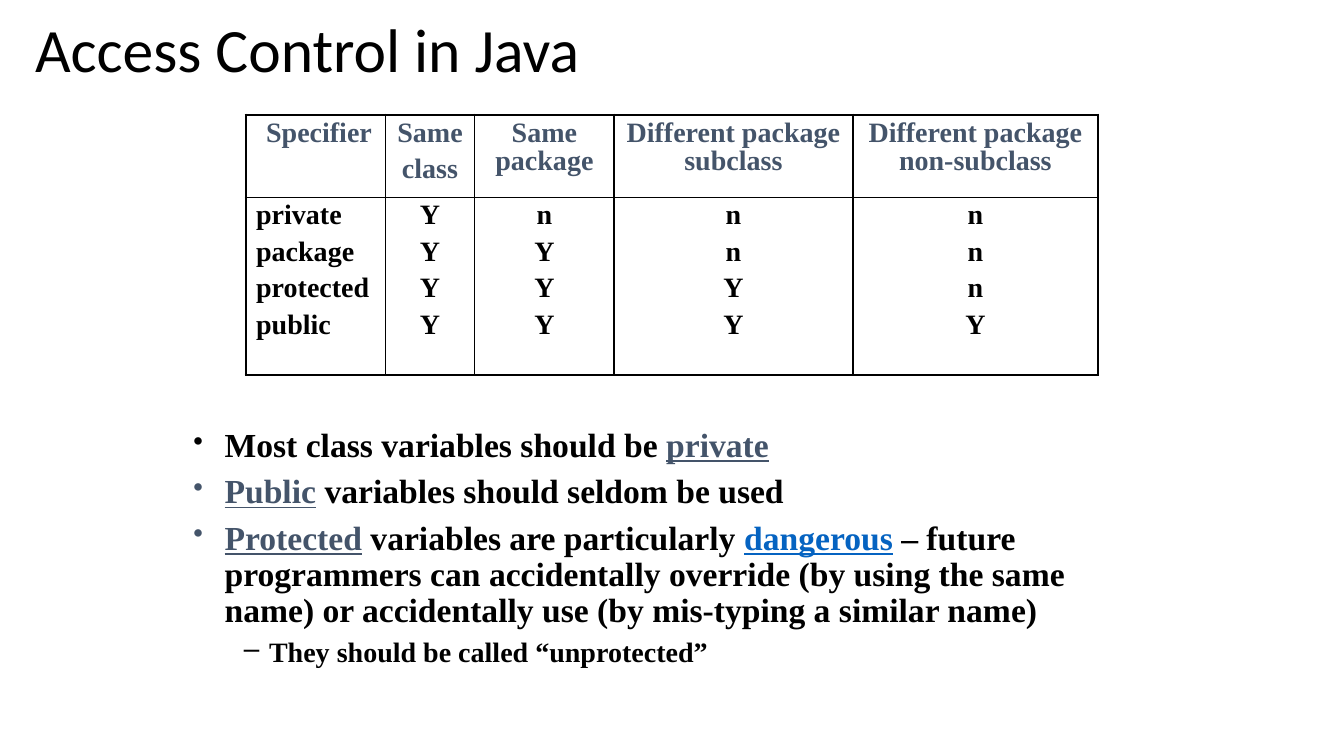
from dataclasses import dataclass

from lxml import etree
from pptx import Presentation
from pptx.dml.color import RGBColor
from pptx.enum.text import MSO_ANCHOR, PP_ALIGN
from pptx.oxml.ns import qn
from pptx.util import Inches, Pt

LEFT, CENTER = PP_ALIGN.LEFT, PP_ALIGN.CENTER
TOP, MIDDLE = MSO_ANCHOR.TOP, MSO_ANCHOR.MIDDLE

TITLE = "Access Control in Java"
HEADERS = [
    [" Specifier"],
    ["Same", "class"],
    ["Same package"],
    ["Different package subclass"],
    ["Different package non-subclass"],
]
ACCESS = {
    "private": "Ynnn",
    "package": "YYnn",
    "protected": "YYYn",
    "public": "YYYY",
}
# Each bullet: level, then (text, style) spans
BULLETS = [
    (0, [("Most class variables should be ", "plain"), ("private", "keyword")]),
    (0, [("Public", "keyword"), (" variables should seldom be used", "plain")]),
    (0, [("Protected", "keyword"), (" variables are particularly ", "plain"),
         ("dangerous", "warning"),
         (" – future programmers can accidentally override (by using the same name)"
          " or accidentally use (by mis-typing a similar name)", "plain")]),
    (1, [("They should be called “unprotected”", "plain")]),
]
COLUMN_WIDTHS = [1.38, 0.89, 1.38, 2.37, 2.43]
ROW_HEIGHTS = [0.82, 1.76]


@dataclass(frozen=True)
class Theme:
    title_font: str = "Calibri"
    body_font: str = "Times New Roman"
    text: str = "000000"
    accent: str = "44546A"
    warning: str = "0563C1"
    title_size: int = 44
    bullet_size: int = 24
    small_size: int = 20
    line_spacing: float = 0.9
    space_before: int = 30000
    outer_border: float = 2.25
    inner_border: float = 1


THEME = Theme()
SPAN_COLORS = {"plain": THEME.text, "keyword": THEME.accent, "warning": THEME.warning}
# Level: left margin, hanging indent, bullet, bullet size, type size
LEVELS = [
    (0.31, 0.31, "•", 85000, THEME.bullet_size),
    (0.75, 0.25, "–", 100000, THEME.small_size),
]


def add_xml(parent, tag, **attributes):
    element = etree.SubElement(parent, qn(tag))
    for name, value in attributes.items():
        element.set(name, str(value))
    return element


def set_font(font, name, size, color=None, bold=False):
    font.name, font.size, font.bold = name, Pt(size), bold
    if color:
        font.color.rgb = RGBColor.from_string(color)


def space_body(para):
    para.line_spacing = THEME.line_spacing
    before = add_xml(para._p.get_or_add_pPr(), "a:spcBef")
    add_xml(before, "a:spcPct", val=THEME.space_before)


def paragraphs(frame, count):
    """Return count paragraphs of the frame, adding those it lacks."""
    return [frame.paragraphs[0]] + [frame.add_paragraph() for _ in range(count - 1)]


def add_text_box(slide, left, top, width, height, anchor):
    box = slide.shapes.add_textbox(Inches(left), Inches(top), Inches(width), Inches(height))
    box.text_frame.word_wrap = True
    box.text_frame.vertical_anchor = anchor
    return box.text_frame


def set_borders(cell, row, column):
    outer_sides = {
        "a:lnL": column == 0,
        "a:lnR": column == len(COLUMN_WIDTHS) - 1,
        "a:lnT": row == 0,
        "a:lnB": row == len(ROW_HEIGHTS) - 1,
    }
    for tag, is_outer in outer_sides.items():
        weight = THEME.outer_border if is_outer else THEME.inner_border
        line = add_xml(cell._tc.get_or_add_tcPr(), tag, w=int(Pt(weight)))
        add_xml(add_xml(line, "a:solidFill"), "a:srgbClr", val=THEME.text)


def add_title(slide):
    para = add_text_box(slide, 0.25, 0.11, 12.85, 0.83, MIDDLE).paragraphs[0]
    para.text = TITLE
    para.line_spacing = THEME.line_spacing
    set_font(para.font, THEME.title_font, THEME.title_size, THEME.text)


def add_access_table(slide):
    table = slide.shapes.add_table(
        len(ROW_HEIGHTS), len(COLUMN_WIDTHS), Inches(2.44), Inches(1.14),
        Inches(sum(COLUMN_WIDTHS)), Inches(sum(ROW_HEIGHTS))).table
    table.first_row = table.horz_banding = False
    for column, width in zip(table.columns, COLUMN_WIDTHS):
        column.width = Inches(width)
    for row, height in zip(table.rows, ROW_HEIGHTS):
        row.height = Inches(height)

    body = [list(ACCESS)] + [list(marks) for marks in zip(*ACCESS.values())]
    for row, cells in enumerate([HEADERS, body]):
        for column, lines in enumerate(cells):
            cell = table.cell(row, column)
            set_borders(cell, row, column)
            cell.fill.background()
            for para, line in zip(paragraphs(cell.text_frame, len(lines)), lines):
                para.text = line
                para.alignment = LEFT if row and column == 0 else CENTER
                space_body(para)
                set_font(para.font, THEME.body_font, THEME.small_size,
                         THEME.text if row else THEME.accent, bold=True)


def add_bullets(slide):
    frame = add_text_box(slide, 1.82, 4.2, 9.7, 2.66, TOP)
    for para, (level, spans) in zip(paragraphs(frame, len(BULLETS)), BULLETS):
        margin, hanging, bullet, bullet_scale, size = LEVELS[level]
        para.level = level
        space_body(para)
        properties = para._p.get_or_add_pPr()
        properties.set("marL", str(Inches(margin)))
        properties.set("indent", str(-Inches(hanging)))
        add_xml(properties, "a:buSzPct", val=bullet_scale)
        add_xml(properties, "a:buChar", char=bullet)
        set_font(para.font, THEME.body_font, size, bold=True)
        for text, style in spans:
            span = para.add_run()
            span.text = text
            span.font.color.rgb = RGBColor.from_string(SPAN_COLORS[style])
            span.font.underline = style != "plain"


def main():
    deck = Presentation()
    deck.slide_width, deck.slide_height = Inches(13.33), Inches(7.5)
    slide = deck.slides.add_slide(deck.slide_layouts[6])
    add_title(slide)
    add_access_table(slide)
    add_bullets(slide)
    deck.save("out.pptx")


if __name__ == "__main__":
    main()
